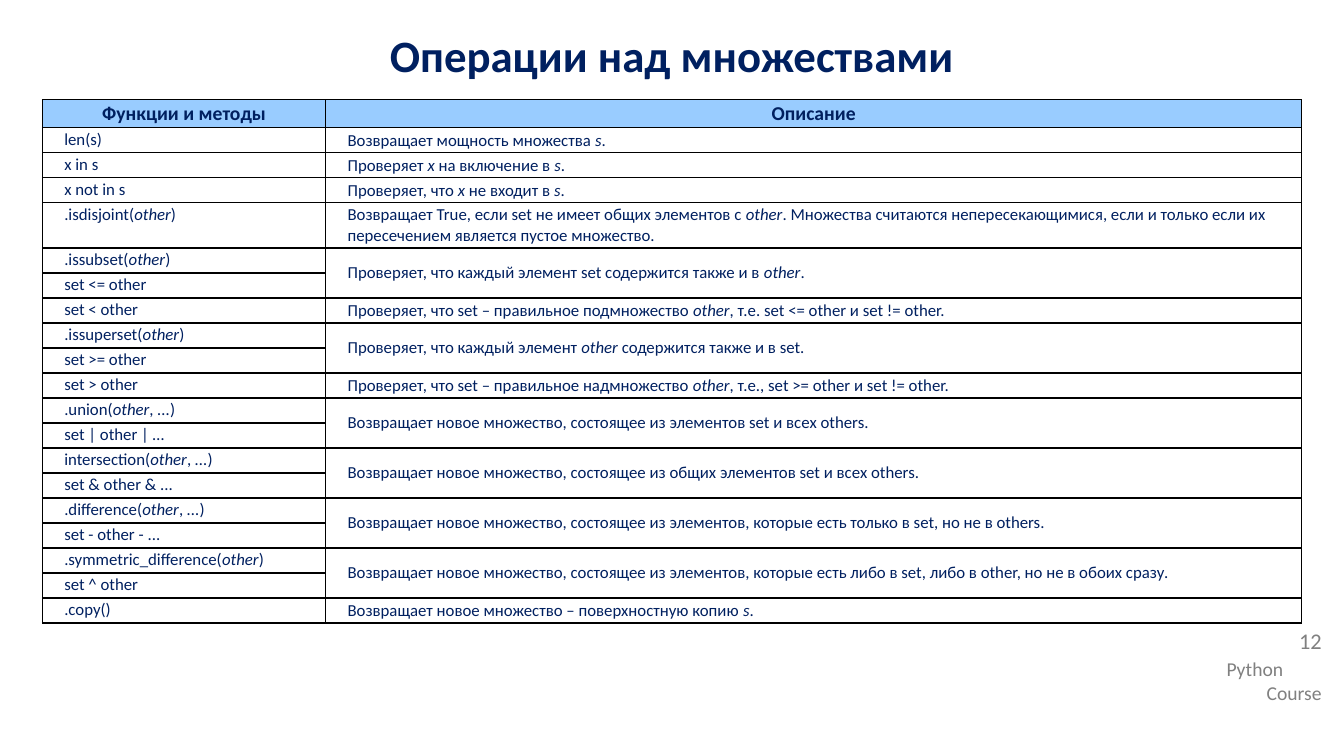
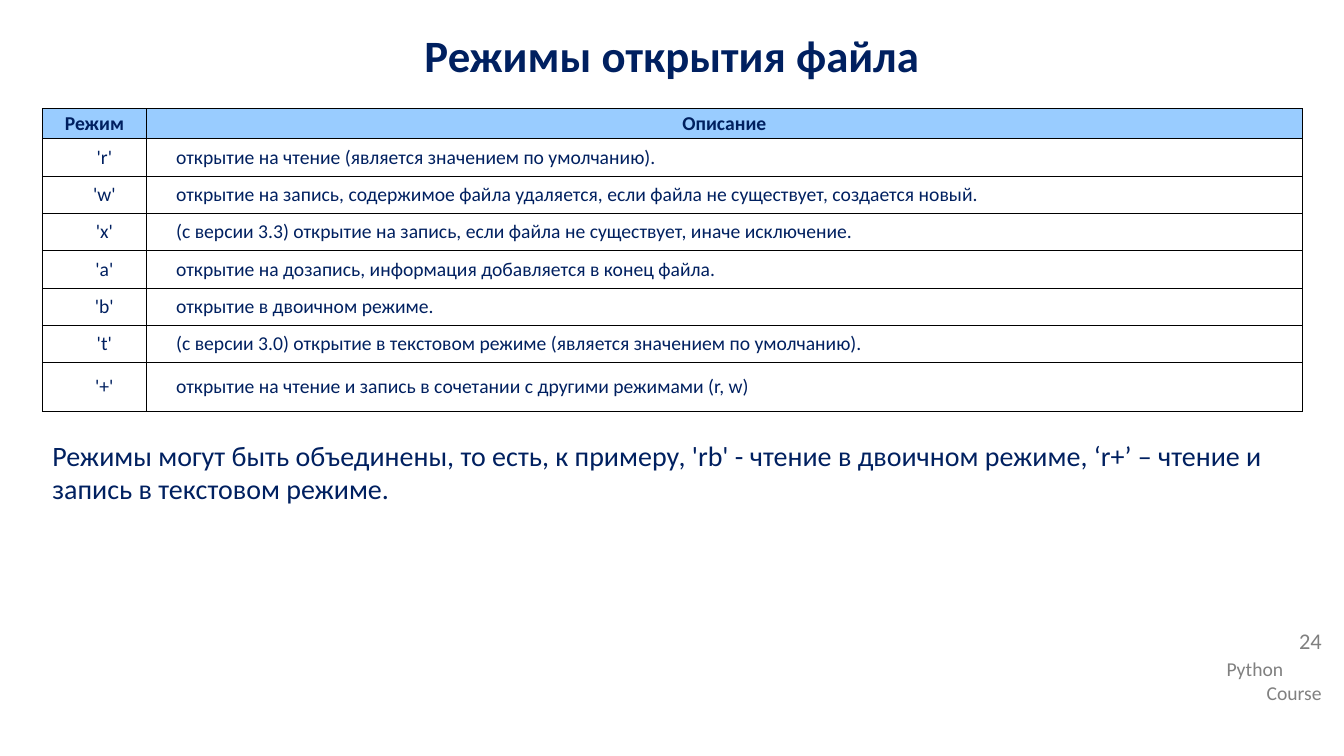
import lxml.etree
import pptx
import pptx.dml.color
import pptx.enum.text
import pptx.oxml.ns
import pptx.util

Cm = pptx.util.Cm
Pt = pptx.util.Pt
ALIGN = pptx.enum.text.PP_ALIGN
ANCHOR = pptx.enum.text.MSO_ANCHOR

SET_OPERATIONS = [
    (["len(s)"], "Возвращает мощность множества *s*."),
    (["x in s"], "Проверяет *x *на включение в *s*."),
    (["x not in s"], "Проверяет, что *x *не входит в *s*."),
    ([".isdisjoint(*other*)"],
     "Возвращает True, если set не имеет общих элементов с *other*. Множества считаются "
     "непересекающимися, если и только если их пересечением является пустое множество."),
    ([".issubset(*other*)", "set <= other"],
     "Проверяет, что каждый элемент set содержится также и в *other*."),
    (["set < other"],
     "Проверяет, что set – правильное подмножество *other*, т.е. set <= other и set != other."),
    ([".issuperset(*other*)", "set >= other"],
     "Проверяет, что каждый элемент *other *содержится также и в set."),
    (["set > other"],
     "Проверяет, что set – правильное надмножество *other*, т.е., set >= other и set != other."),
    ([".union(*other*, *...*)", "set | other | …"],
     "Возвращает новое множество, состоящее из элементов set и всех others."),
    (["intersection(*other*, *...*)", "set & other & ..."],
     "Возвращает новое множество, состоящее из общих элементов set и всех others."),
    ([".difference(*other*, *...*)", "set - other - ..."],
     "Возвращает новое множество, состоящее из элементов, которые есть только в set, "
     "но не в others."),
    ([".symmetric_difference(*other*)", "set ^ other"],
     "Возвращает новое множество, состоящее из элементов, которые есть либо в set, "
     "либо в other, но не в обоих сразу."),
    ([".copy()"], "Возвращает новое множество – поверхностную копию *s*."),
]

FILE_MODES = [
    (["'r'"], "открытие на чтение (является значением по умолчанию)."),
    (["'w'"], "открытие на запись, содержимое файла удаляется, если файла не существует, "
              "создается новый."),
    (["'x'"], "(с версии 3.3) открытие на запись, если файла не существует, иначе исключение."),
    (["'a'"], "открытие на дозапись, информация добавляется в конец файла."),
    (["'b'"], "открытие в двоичном режиме."),
    (["'t'"], "(с версии 3.0) открытие в текстовом режиме (является значением по умолчанию)."),
    (["'+'"], "открытие на чтение и запись в сочетании с другими режимами (r, w)"),
]


class Deck:
    """Holds the shared style and the slide being built."""

    COLORS = {"text": "002060", "muted": "808080", "header": "99CCFF", "border": "000000"}
    FONT = "Calibri"
    LEFT = 1.07
    INDENT = 0.5

    def __init__(self):
        self.presentation = pptx.Presentation()
        self.presentation.slide_width = Cm(33.87)
        self.presentation.slide_height = Cm(19.05)
        self.slide = None

    def color(self, name):
        return pptx.dml.color.RGBColor.from_string(self.COLORS[name])

    def format_runs(self, paragraph, size, color="text", bold=False):
        for run in paragraph.runs:
            run.font.name = self.FONT
            run.font.size = Pt(size)
            run.font.bold = bold
            run.font.color.rgb = self.color(color)

    def add_text(self, box, text, size, color="text", bold=False, aligns=(ALIGN.LEFT,)):
        shape = self.slide.shapes.add_textbox(*(Cm(length) for length in box))
        shape.text_frame.word_wrap = True
        shape.text_frame.text = text
        for paragraph, align in zip(shape.text_frame.paragraphs, aligns):
            paragraph.alignment = align
            self.format_runs(paragraph, size, color, bold)
        return shape

    def add_slide(self, title, number):
        self.slide = self.presentation.slides.add_slide(self.presentation.slide_layouts[6])
        self.add_text((30.66, 16.43, 2.9, 1.45), "Python\nCourse", 14, "muted",
                      aligns=(ALIGN.LEFT, ALIGN.RIGHT))
        page = self.add_text((30.66, 15.75, 2.9, 1.14), str(number), 16, "muted",
                             aligns=(ALIGN.RIGHT,))
        page.text_frame.paragraphs[0].line_spacing = 0.9
        self.add_text((0, 0.58, 33.87, 1.93), title, 32, bold=True, aligns=(ALIGN.CENTER,))

    def add_borders(self, cell):
        properties = cell._tc.get_or_add_tcPr()
        qn = pptx.oxml.ns.qn
        for side in ("lnL", "lnR", "lnT", "lnB"):
            line = lxml.etree.SubElement(properties, qn("a:" + side), w=str(Pt(1)))
            fill = lxml.etree.SubElement(line, qn("a:solidFill"))
            lxml.etree.SubElement(fill, qn("a:srgbClr"), val=self.COLORS["border"])

    def set_margins(self, cell, horizontal, vertical):
        cell.margin_left = cell.margin_right = Cm(horizontal)
        cell.margin_top = cell.margin_bottom = Cm(vertical)

    def fill_cell(self, cell, text, size, align, anchor, header=False):
        cell.vertical_anchor = anchor
        paragraph = cell.text_frame.paragraphs[0]
        paragraph.alignment = align
        if not header:
            paragraph._p.get_or_add_pPr().set("marL", str(Cm(self.INDENT)))
        for position, part in enumerate(text.split("*")):
            if part:
                run = paragraph.add_run()
                run.text = part
                run.font.italic = position % 2 == 1
        self.format_runs(paragraph, size, bold=header)

    def add_table(self, top, widths, heights, headers, groups, size, key_align, key_anchor,
                  header_margins, body_margins):
        table = self.slide.shapes.add_table(
            len(heights), len(widths), Cm(self.LEFT), Cm(top),
            Cm(sum(widths)), Cm(sum(heights))).table
        table.first_row = table.horz_banding = False
        for column, width in zip(table.columns, widths):
            column.width = Cm(width)
        for row, height in zip(table.rows, heights):
            row.height = Cm(height)
        for index, row in enumerate(table.rows):
            for cell in row.cells:
                self.add_borders(cell)
                self.set_margins(cell, *(body_margins if index else header_margins))
                if index:
                    cell.fill.background()
                else:
                    cell.fill.solid()
                    cell.fill.fore_color.rgb = self.color("header")
        for column, header in enumerate(headers):
            self.fill_cell(table.cell(0, column), header, 14, ALIGN.CENTER,
                           ANCHOR.MIDDLE, header=True)
        first = 1
        for keys, description in groups:
            last = first + len(keys) - 1
            for offset, key in enumerate(keys):
                self.fill_cell(table.cell(first + offset, 0), key, size, key_align, key_anchor)
            if last > first:
                table.cell(first, 1).merge(table.cell(last, 1))
            self.fill_cell(table.cell(first, 1), description, size, ALIGN.LEFT, ANCHOR.MIDDLE)
            first = last + 1


def main():
    deck = Deck()

    deck.add_slide("Операции над множествами", 12)
    deck.add_table(2.51, (7.14, 24.59), [0.71] + [0.63] * 3 + [1.14] + [0.63] * 15,
                   ("Функции и методы", "Описание"), SET_OPERATIONS, 12,
                   ALIGN.LEFT, ANCHOR.TOP, (0.05, 0.05), (0.05, 0.05))

    deck.add_slide("Режимы открытия файла", 24)
    deck.add_text((deck.LEFT, 10.92, 31.73, 7.65),
                  "Режимы могут быть объединены, то есть, к примеру, 'rb' - чтение в двоичном "
                  "режиме, ‘r+’ – чтение и запись в текстовом режиме.", 20)
    deck.add_table(2.74, (2.62, 29.13), [0.76] + [0.94] * 6 + [1.22],
                   ("Режим", "Описание"), FILE_MODES, 14,
                   ALIGN.CENTER, ANCHOR.MIDDLE, (0.1, 0.05), (0.25, 0.13))

    deck.presentation.save("out.pptx")


if __name__ == "__main__":
    main()
